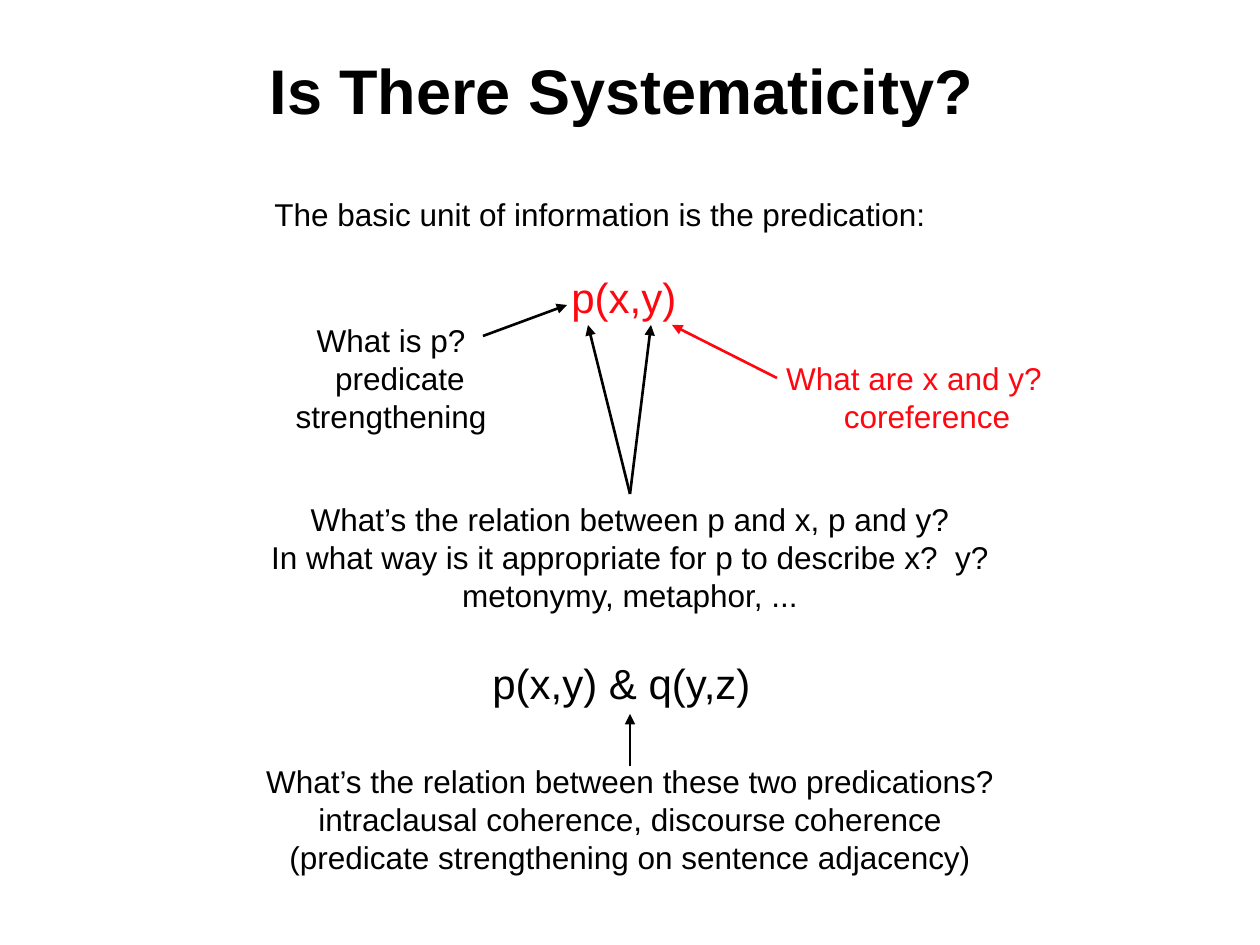
import pptx
import pptx.util
import pptx.dml.color
import pptx.enum.shapes
import pptx.enum.text
import pptx.oxml.ns
from lxml import etree

PX = 914400 / 126
BLACK = pptx.dml.color.RGBColor(0x00, 0x00, 0x00)
RED = pptx.dml.color.RGBColor(0xFF, 0x07, 0x10)
LEFT = pptx.enum.text.PP_ALIGN.LEFT
CENTER = pptx.enum.text.PP_ALIGN.CENTER


def px(*lengths):
    """Turn px lengths into EMU."""
    return [round(n * PX) for n in lengths]


def format_text(p, size, color, align, bold=False):
    p.alignment = align
    for r in p.runs:
        r.font.name = "Arial"
        r.font.size = pptx.util.Pt(size)
        r.font.bold = bold
        r.font.color.rgb = color


prs = pptx.Presentation()
prs.slide_width, prs.slide_height = px(1260, 945)
s = prs.slides.add_slide(prs.slide_layouts[5])

title = s.shapes.title
title.left, title.top, title.width, title.height = px(86, 10, 1071, 158)
tf = title.text_frame
tf.text = "Is There Systematicity?"
tf.vertical_anchor = pptx.enum.text.MSO_ANCHOR.MIDDLE
format_text(tf.paragraphs[0], 36, BLACK, CENTER, bold=True)

# Box, alignment, then paragraphs as (text, size, color, left indent, space before in points)
texts = [
    ((262, 189, 681, 139), LEFT, [
        ("The basic unit of information is the predication:", 18, BLACK, 0, 0),
        ("p(x,y)", 24, RED, 297, 22)]),
    ((280, 315, 222, 126), CENTER, [
        ("What is p?", 18, BLACK, 0, 0),
        ("predicate", 18, BLACK, 18, 0),
        ("strengthening", 18, BLACK, 0, 0)]),
    ((770, 353, 288, 88), CENTER, [
        ("What are x and y?", 18, RED, 0, 0),
        ("coreference", 18, RED, 26, 0)]),
    ((255, 494, 750, 126), CENTER, [
        ("What’s the relation between p and x, p and y?", 18, BLACK, 0, 0),
        ("In what way is it appropriate for p to describe x?  y?", 18, BLACK, 0, 0),
        ("metonymy, metaphor, ...", 18, BLACK, 0, 0)]),
    ((480, 651, 290, 63), LEFT, [
        ("p(x,y) & q(y,z)", 24, BLACK, 0, 0)]),
    ((250, 756, 760, 126), CENTER, [
        ("What’s the relation between these two predications?", 18, BLACK, 0, 0),
        ("intraclausal coherence, discourse coherence", 18, BLACK, 0, 0),
        ("(predicate strengthening on sentence adjacency)", 18, BLACK, 0, 0)]),
]
for box, align, lines in texts:
    tf = s.shapes.add_textbox(*px(*box)).text_frame
    tf.word_wrap = False
    for i, (text, size, color, indent, before) in enumerate(lines):
        p = tf.add_paragraph() if i else tf.paragraphs[0]
        p.text = text
        format_text(p, size, color, align)
        if indent:
            p._p.get_or_add_pPr().set("marL", str(px(indent)[0]))
        if before:
            p.space_before = pptx.util.Pt(before)

arrows = [
    (483, 336, 567, 305, BLACK),
    (777, 378, 672, 325, RED),
    (630, 494, 588, 325, BLACK),
    (630, 494, 651, 325, BLACK),
    (630, 766, 630, 714, BLACK),
]
for *ends, color in arrows:
    arrow = s.shapes.add_connector(pptx.enum.shapes.MSO_CONNECTOR.STRAIGHT, *px(*ends))
    arrow.line.color.rgb = color
    arrow.line.width = pptx.util.Pt(1.5)
    ln = arrow.line._get_or_add_ln()
    etree.SubElement(ln, pptx.oxml.ns.qn("a:tailEnd"), type="triangle")
    etree.SubElement(arrow._element.spPr, pptx.oxml.ns.qn("a:effectLst"))

prs.save("out.pptx")
